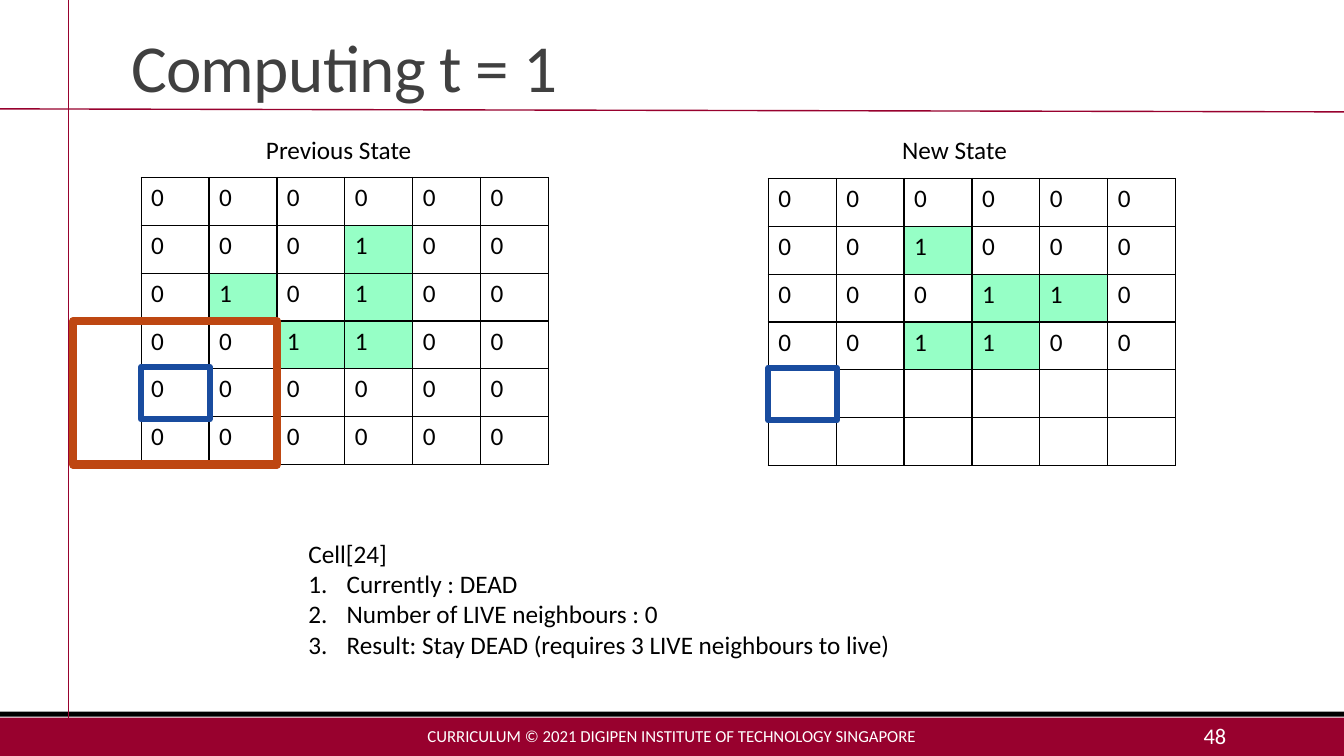
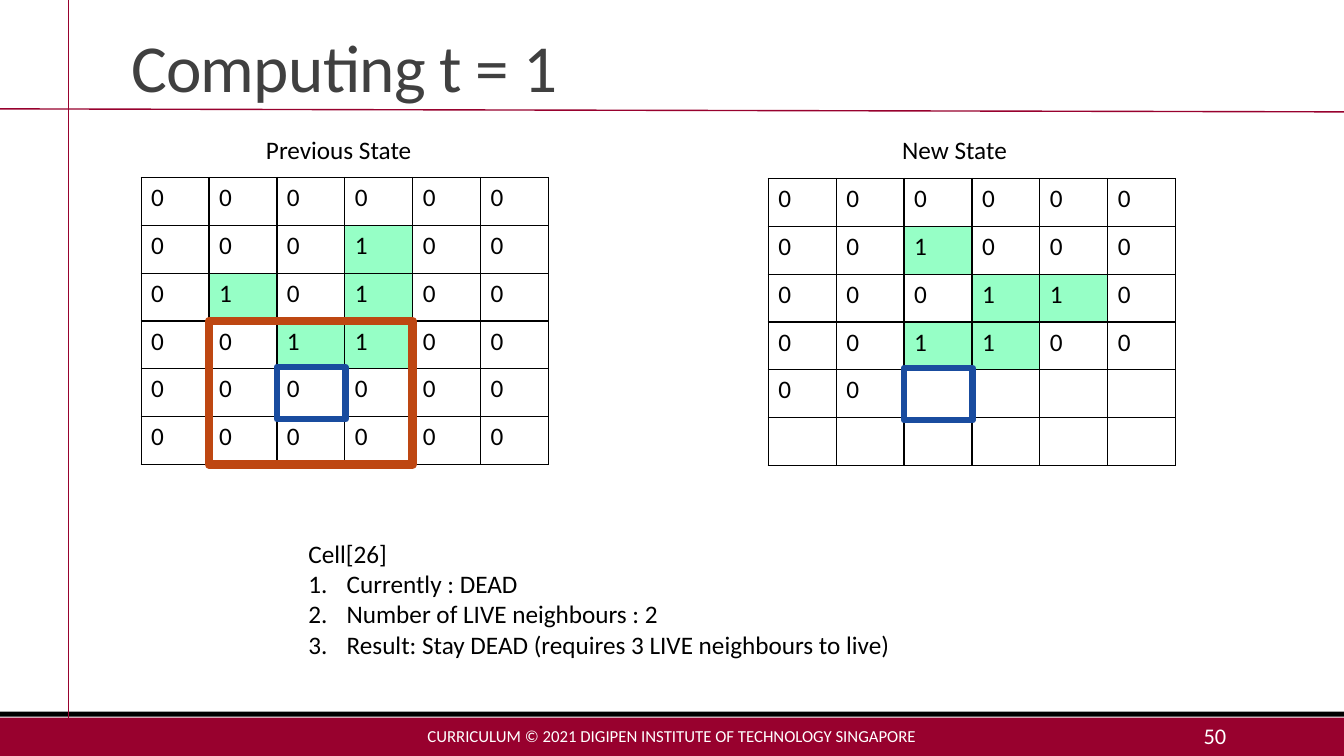
from lxml import etree
from pptx import Presentation
from pptx import util as u
from pptx.dml.color import RGBColor
from pptx.enum import shapes, text
from pptx.oxml import ns

# Content
TITLE = "Computing t = 1"
FOOTER = "CURRICULUM © 2021 DIGIPEN INSTITUTE OF TECHNOLOGY SINGAPORE"
PREVIOUS = ["000000", "000100", "010100", "001100", "000000", "000000"]
COMPUTED = "000000" "001000" "000110" "001100" "000000" "000000"
STEPS = [
    {"page": "48", "cell": 24, "neighbours": 0},
    {"page": "50", "cell": 26, "neighbours": 2},
]

# Shared look, lengths in inches
WIDTH, HEIGHT = 13.33, 7.5
FONT = "Calibri"
CRIMSON, BLACK, WHITE, GREY = "98012E", "000000", "FFFFFF", "404040"
LIVE, ORANGE, BLUE = "96FFC6", "BE4712", "194C9F"
SIDE = 6
CELL_W, CELL_H = 4.04 / SIDE, 2.85 / SIDE
PREVIOUS_AT, NEW_AT = (1.4, 1.76), (7.62, 1.77)
FOOTER_TOP, RULE_X = 7.12, 0.68


def colour(code):
    return RGBColor.from_string(code)


def inches(*lengths):
    return [u.Inches(length) for length in lengths]


def style(para, size, code=BLACK, align=text.PP_ALIGN.LEFT):
    para.alignment = align
    para.font.name, para.font.size = FONT, u.Pt(size)
    para.font.color.rgb = colour(code)


def add_text(page, place, words, size=18, code=BLACK,
             align=text.PP_ALIGN.LEFT, anchor=text.MSO_ANCHOR.TOP):
    frame = page.shapes.add_textbox(*inches(*place)).text_frame
    frame.word_wrap = True
    frame.vertical_anchor = anchor
    frame.text = words
    style(frame.paragraphs[0], size, code, align)
    return frame


def add_box(page, place, fill=None, line=None, weight=0):
    box = page.shapes.add_shape(shapes.MSO_SHAPE.RECTANGLE, *inches(*place))
    box.shadow.inherit = False
    if fill:
        box.fill.solid()
        box.fill.fore_color.rgb = colour(fill)
    else:
        box.fill.background()
    if line:
        box.line.color.rgb = colour(line)
        box.line.width = u.Pt(weight)
    else:
        box.line.fill.background()
    return box


def add_rule(page, ends):
    rule = page.shapes.add_connector(shapes.MSO_CONNECTOR.STRAIGHT, *inches(*ends))
    rule.line.color.rgb = colour(CRIMSON)
    rule.line.width = u.Pt(1)
    etree.SubElement(rule.element.spPr, ns.qn("a:effectLst"))
    return rule


def dress_layout(layout, page):
    """Draw the bands and rules on a page, then move them to its layout."""
    for holder in list(layout.placeholders):
        if holder.placeholder_format.idx:
            holder.element.getparent().remove(holder.element)
    parts = [
        add_box(page, (0, FOOTER_TOP, WIDTH, HEIGHT - FOOTER_TOP), CRIMSON),
        add_box(page, (0, 7.06, WIDTH, 0.05), BLACK),
        add_rule(page, (RULE_X, 0, RULE_X, FOOTER_TOP)),
        add_rule(page, (0, 1.08, WIDTH, 1.11)),
    ]
    for part in parts:
        layout.shapes.element.append(part.element)


def add_title(page):
    title = page.shapes.title
    title.left, title.top, title.width, title.height = inches(1.2, 0.16, 11, 0.94)
    frame = title.text_frame
    frame.text = TITLE
    frame.auto_size = text.MSO_AUTO_SIZE.NONE
    frame.vertical_anchor = text.MSO_ANCHOR.BOTTOM
    para = frame.paragraphs[0]
    para.line_spacing = 0.85
    style(para, 48, GREY)
    para._p.pPr.find(ns.qn("a:defRPr")).set("spc", "-50")


def add_footer(page, number):
    middle = text.MSO_ANCHOR.MIDDLE
    add_text(page, (4.03, 7.1, 5.27, 0.4), FOOTER, 12, WHITE,
             text.PP_ALIGN.CENTER, middle)
    add_text(page, (10.83, 7.1, 1.43, 0.4), number, 16, WHITE,
             text.PP_ALIGN.RIGHT, middle)


def add_borders(cell):
    props = cell._tc.get_or_add_tcPr()
    for edge in ("lnL", "lnR", "lnT", "lnB"):
        line = etree.SubElement(props, ns.qn(f"a:{edge}"), w=str(u.Pt(1)))
        fill = etree.SubElement(line, ns.qn("a:solidFill"))
        etree.SubElement(fill, ns.qn("a:srgbClr"), val=BLACK)


def add_grid(page, at, rows):
    size = (SIDE * CELL_W, SIDE * CELL_H)
    table = page.shapes.add_table(SIDE, SIDE, *inches(*at, *size)).table
    table.first_row = table.horz_banding = False
    for r, row in enumerate(rows):
        for c, state in enumerate(row):
            cell = table.cell(r, c)
            cell.text = state.strip()
            style(cell.text_frame.paragraphs[0], 18)
            add_borders(cell)
            cell.fill.solid()
            cell.fill.fore_color.rgb = colour(LIVE if state == "1" else WHITE)


def mark_cell(page, at, row, column):
    place = (at[0] + column * CELL_W, at[1] + row * CELL_H - 0.02, 0.68, 0.52)
    add_box(page, place, line=BLUE, weight=4.5)


def add_reasoning(page, step):
    frame = add_text(page, (2.96, 5.29, 7.65, 1.31), f"Cell[{step['cell']}]")
    for line in ("Currently : DEAD",
                 f"Number of LIVE neighbours : {step['neighbours']}",
                 "Result: Stay DEAD (requires 3 LIVE neighbours to live)"):
        para = frame.add_paragraph()
        para.text = line
        props = para._p.get_or_add_pPr()
        props.set("marL", str(u.Inches(0.38)))
        props.set("indent", str(-u.Inches(0.38)))
        etree.SubElement(props, ns.qn("a:buAutoNum"), type="arabicPeriod")
        style(para, 18)


def add_step(page, step):
    add_title(page)
    add_footer(page, step["page"])

    # Grids: the new one is filled up to the current cell
    known = COMPUTED[:step["cell"]].ljust(SIDE * SIDE)
    new = [known[start:start + SIDE] for start in range(0, SIDE * SIDE, SIDE)]
    add_grid(page, PREVIOUS_AT, PREVIOUS)
    add_grid(page, NEW_AT, new)
    add_text(page, (2.54, 1.28, 1.76, 0.4), "Previous State")
    add_text(page, (8.85, 1.28, 1.76, 0.4), "New State")

    # Neighbourhood and current cell
    row, column = divmod(step["cell"], SIDE)
    left, top = PREVIOUS_AT
    around = (left + (column - 1) * CELL_W, top + (row - 1) * CELL_H,
              3 * CELL_W, 3 * CELL_H)
    add_box(page, around, line=ORANGE, weight=6)
    for at in (PREVIOUS_AT, NEW_AT):
        mark_cell(page, at, row, column)
    add_reasoning(page, step)


def main():
    deck = Presentation()
    deck.slide_width, deck.slide_height = inches(WIDTH, HEIGHT)
    layout = deck.slide_layouts[5]
    pages = [deck.slides.add_slide(layout) for _ in STEPS]
    dress_layout(layout, pages[0])
    for page, step in zip(pages, STEPS):
        add_step(page, step)
    deck.save("out.pptx")


if __name__ == "__main__":
    main()
